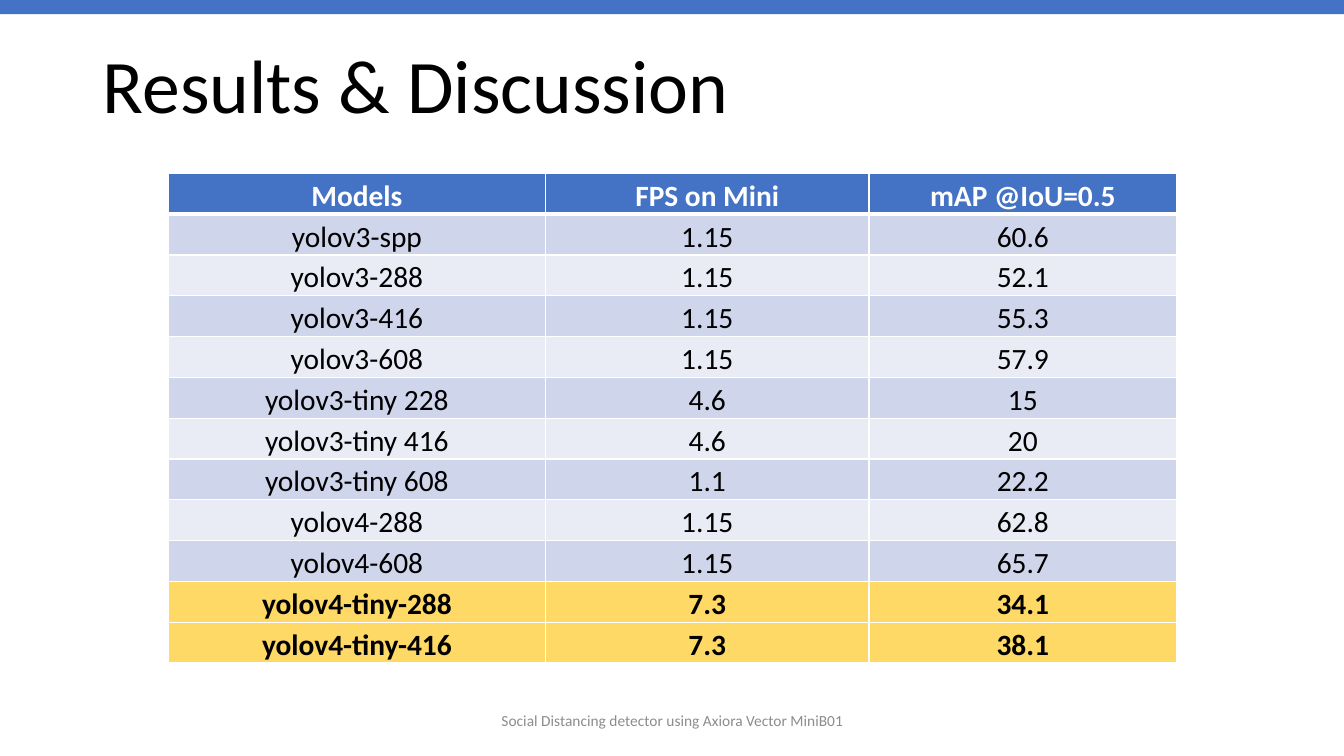
from dataclasses import dataclass

from lxml import etree
from pptx import Presentation
from pptx.dml.color import RGBColor
from pptx.enum import shapes, text
from pptx.oxml import ns
from pptx.util import Inches, Pt

# Content
TITLE = "Results & Discussion"
FOOTER = "Social Distancing detector using Axiora Vector MiniB01"
HEADINGS = ("Models", "FPS on Mini", "mAP @IoU=0.5")
RESULTS = [
    ("yolov3-spp", "1.15", "60.6"),
    ("yolov3-288", "1.15", "52.1"),
    ("yolov3-416", "1.15", "55.3"),
    ("yolov3-608", "1.15", "57.9"),
    ("yolov3-tiny 228", "4.6", "15"),
    ("yolov3-tiny 416", "4.6", "20"),
    ("yolov3-tiny 608", "1.1", "22.2"),
    ("yolov4-288", "1.15", "62.8"),
    ("yolov4-608", "1.15", "65.7"),
    ("yolov4-tiny-288", "7.3", "34.1"),
    ("yolov4-tiny-416", "7.3", "38.1"),
]
BEST_MODELS = {"yolov4-tiny-288", "yolov4-tiny-416"}
COLUMN_WIDTHS = (3.74, 3.21, 3.05)


@dataclass(frozen=True)
class Theme:
    font: str = "Calibri"
    accent: str = "4472C4"
    bands: tuple = ("CFD5EA", "E9EBF5")
    highlight: str = "FFD966"
    ink: str = "000000"
    white: str = "FFFFFF"
    muted: str = "8C8C8C"
    title_size: int = 54
    table_size: int = 21
    footer_size: int = 11


THEME = Theme()


def style(paragraph, size, color, align, bold=False):
    paragraph.alignment = align
    font = paragraph.runs[0].font
    font.name, font.size, font.bold = THEME.font, Pt(size), bold
    font.color.rgb = RGBColor.from_string(color)


def set_borders(cell, top, bottom):
    """Draw white cell borders; widths in points."""
    properties = cell._tc.get_or_add_tcPr()
    sides = (("lnL", 1), ("lnR", 1), ("lnT", top), ("lnB", bottom))
    for position, (side, width) in enumerate(sides):
        line = etree.Element(ns.qn(f"a:{side}"), w=str(Pt(width)))
        fill = etree.SubElement(line, ns.qn("a:solidFill"))
        etree.SubElement(fill, ns.qn("a:srgbClr"), val=THEME.white)
        properties.insert(position, line)


def add_title(slide):
    title = slide.shapes.title
    title.left, title.top = Inches(0.92), Inches(0.32)
    title.width, title.height = Inches(11.5), Inches(1.02)
    frame = title.text_frame
    frame.text = TITLE
    frame.auto_size = text.MSO_AUTO_SIZE.NONE
    frame.vertical_anchor = text.MSO_ANCHOR.BOTTOM
    heading = frame.paragraphs[0]
    heading.line_spacing = 0.9
    style(heading, THEME.title_size, THEME.ink, text.PP_ALIGN.LEFT)


def add_top_band(slide, width):
    band = slide.shapes.add_shape(
        shapes.MSO_SHAPE.RECTANGLE, 0, 0, width, Inches(0.14))
    band.shadow.inherit = False
    band.fill.solid()
    band.fill.fore_color.rgb = RGBColor.from_string(THEME.accent)
    band.line.fill.background()


def add_footer(slide):
    footer = slide.shapes.add_textbox(
        Inches(4.42), Inches(6.95), Inches(4.5), Inches(0.4))
    frame = footer.text_frame
    frame.word_wrap = True
    frame.vertical_anchor = text.MSO_ANCHOR.MIDDLE
    frame.text = FOOTER
    style(frame.paragraphs[0], THEME.footer_size, THEME.muted,
          text.PP_ALIGN.CENTER)


def row_look(index, model):
    """Return fill, text colour and weight of a table row."""
    if index == 0:
        return THEME.accent, THEME.white, True
    if model in BEST_MODELS:
        return THEME.highlight, THEME.ink, True
    return THEME.bands[(index - 1) % 2], THEME.ink, False


def add_results(slide):
    rows = [HEADINGS, *RESULTS]
    table = slide.shapes.add_table(
        len(rows), len(HEADINGS), Inches(1.67), Inches(1.72),
        Inches(sum(COLUMN_WIDTHS)), Inches(4.86)).table
    for column, width in zip(table.columns, COLUMN_WIDTHS):
        column.width = Inches(width)
    for index, values in enumerate(rows):
        fill, color, bold = row_look(index, values[0])
        for cell, value in zip(table.rows[index].cells, values):
            cell.text = value
            cell.vertical_anchor = text.MSO_ANCHOR.BOTTOM
            cell.margin_left = cell.margin_right = Inches(0.02)
            cell.margin_top, cell.margin_bottom = Inches(0.02), 0
            cell.fill.solid()
            cell.fill.fore_color.rgb = RGBColor.from_string(fill)
            set_borders(cell, top=3 if index == 1 else 1,
                        bottom=3 if index == 0 else 1)
            style(cell.text_frame.paragraphs[0], THEME.table_size, color,
                  text.PP_ALIGN.CENTER, bold)


def main():
    deck = Presentation()
    deck.slide_width, deck.slide_height = Inches(13.33), Inches(7.5)
    slide = deck.slides.add_slide(deck.slide_layouts[5])
    add_title(slide)
    add_top_band(slide, deck.slide_width)
    add_footer(slide)
    add_results(slide)
    deck.save("out.pptx")


if __name__ == "__main__":
    main()
